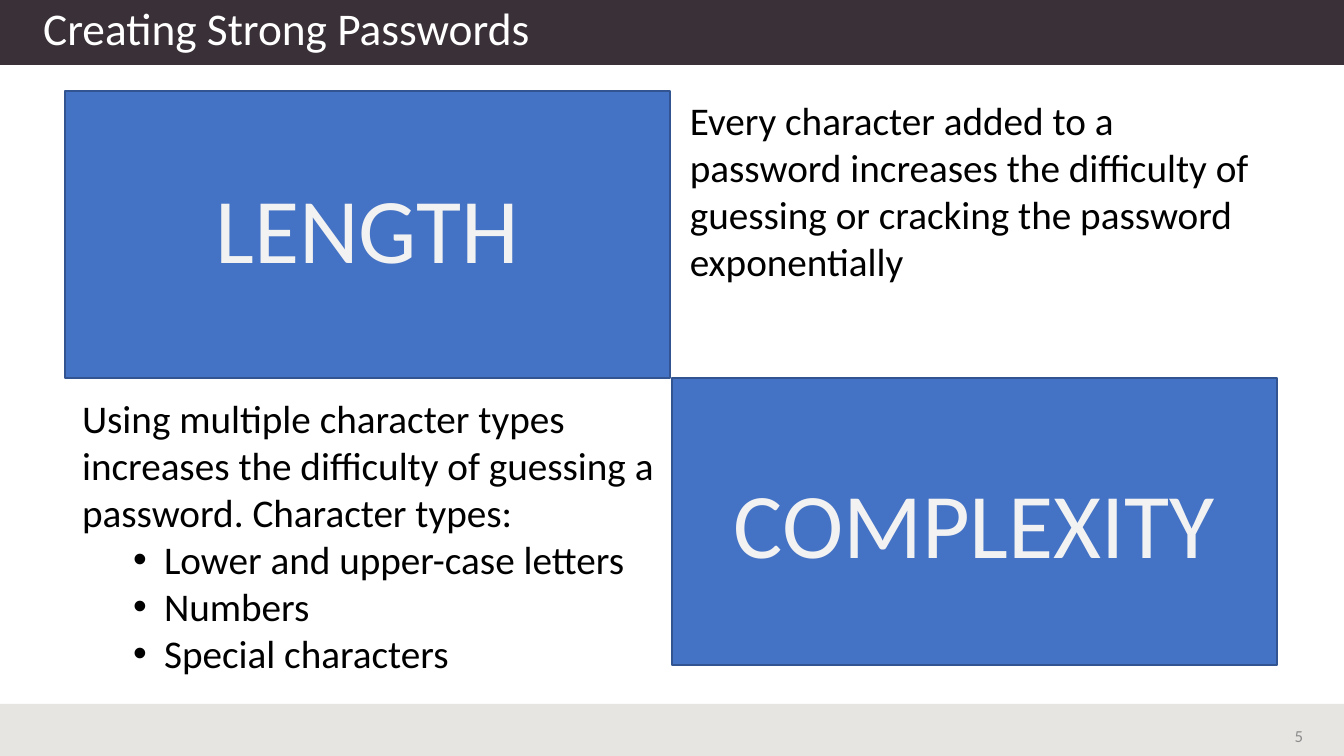
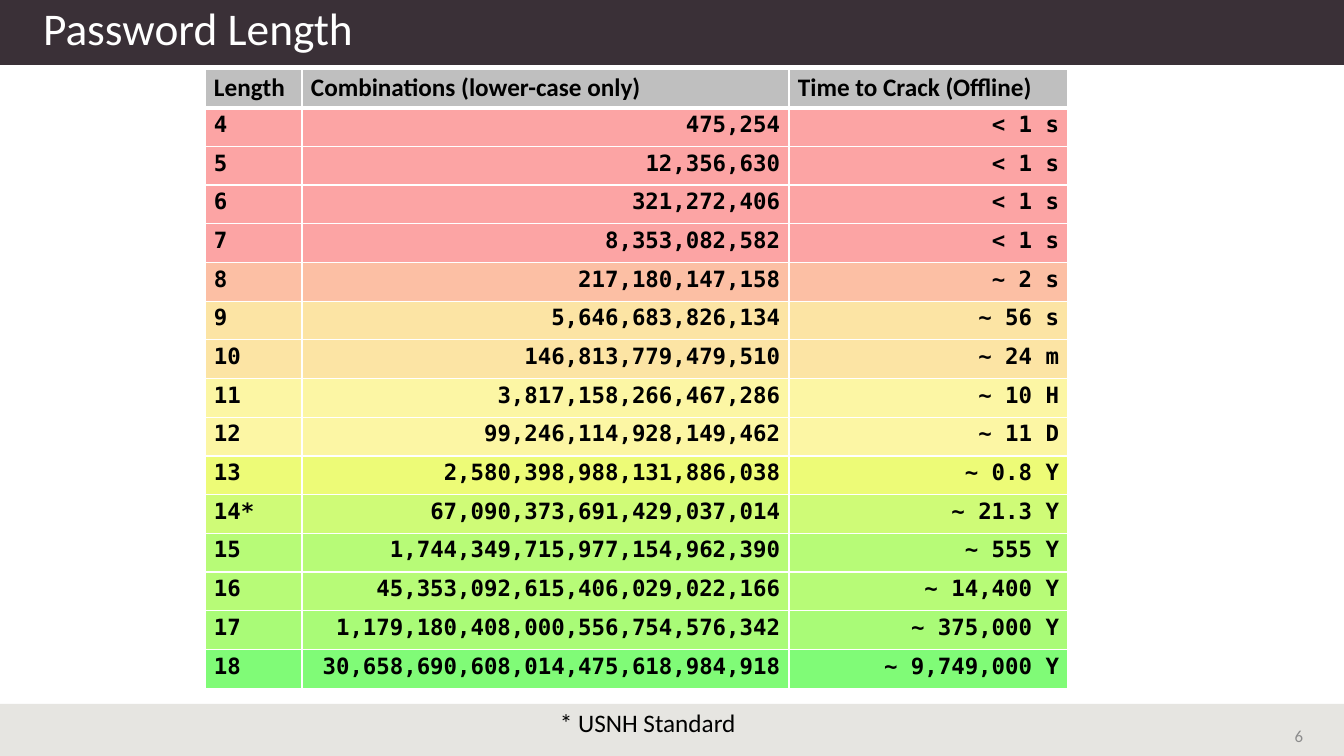
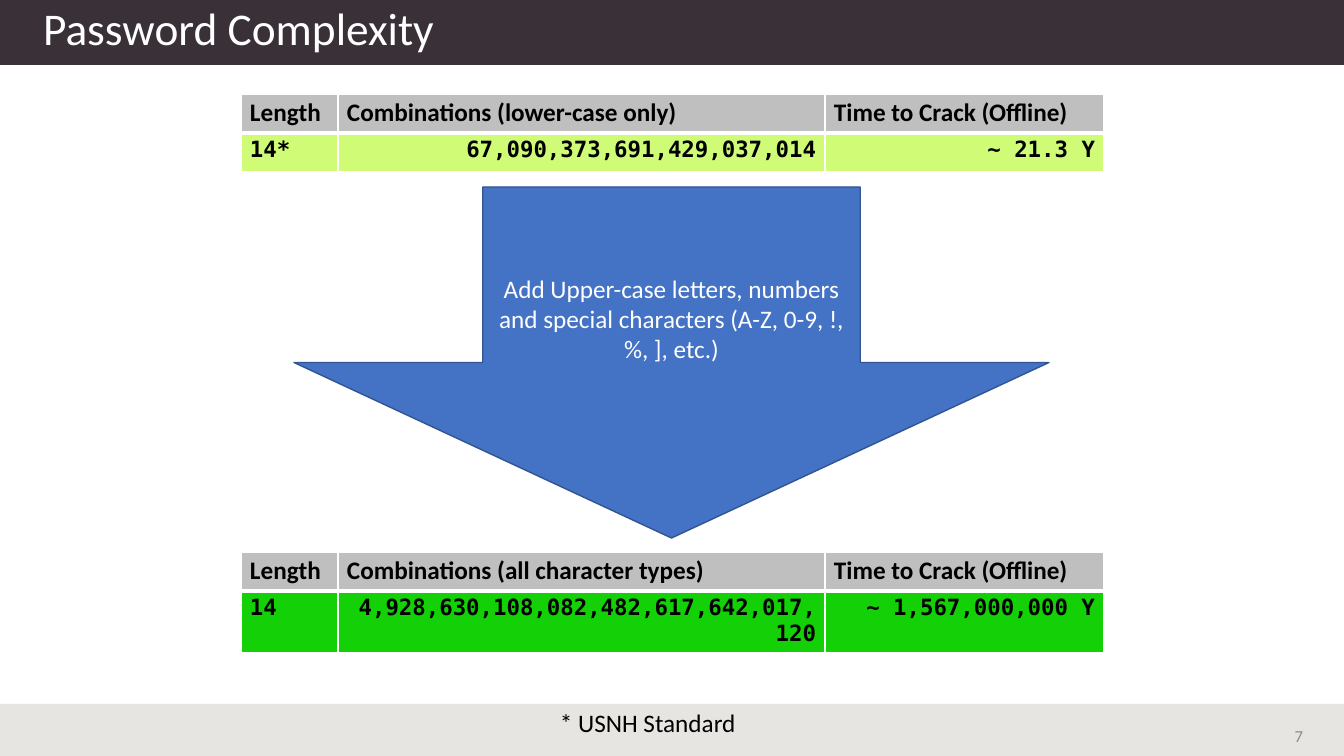
from dataclasses import dataclass

from lxml import etree
from pptx import Presentation
from pptx.dml.color import RGBColor
from pptx.enum.shapes import MSO_SHAPE as Shape
from pptx.enum.text import MSO_ANCHOR as Anchor
from pptx.enum.text import MSO_AUTO_SIZE as AutoSize
from pptx.enum.text import PP_ALIGN as Align
from pptx.oxml.ns import qn
from pptx.util import Emu, Pt

PX_PER_INCH = 100.8
PAGE_WIDTH, PAGE_HEIGHT = 1344, 756
FIRST_PAGE_NUMBER = 5


@dataclass(frozen=True)
class Theme:
    font: str = "Calibri"
    mono: str = "DejaVu Sans Mono"
    title_band: str = "3A3037"
    footer_band: str = "E6E5E1"
    white: str = "FFFFFF"
    text: str = "000000"
    label: str = "F2F2F2"
    page_number: str = "8C8C8C"
    accent: str = "4472C4"
    accent_line: str = "325491"
    table_head: str = "BFBFBF"
    title_size: float = 32.4
    label_size: int = 66
    body_size: int = 28
    note_size: int = 18
    cell_size: int = 16
    number_size: int = 12


THEME = Theme()

COLUMN_WIDTHS = (97, 487, 279)
ROW_HEIGHT = 38.7
CELL_MARGIN_X, CELL_MARGIN_Y = 9, 4
STANDARD_ROW = ("14*", "67,090,373,691,429,037,014", "~ 21.3 Y", "CFFB77")
LENGTH_ROWS = [
    ("4", "475,254", "< 1 s", "FCA4A4"),
    ("5", "12,356,630", "< 1 s", "FCA4A4"),
    ("6", "321,272,406", "< 1 s", "FCA4A4"),
    ("7", "8,353,082,582", "< 1 s", "FCA4A4"),
    ("8", "217,180,147,158", "~ 2 s", "FCBFA4"),
    ("9", "5,646,683,826,134", "~ 56 s", "FCE4A4"),
    ("10", "146,813,779,479,510", "~ 24 m", "FCE4A4"),
    ("11", "3,817,158,266,467,286", "~ 10 H", "FCF6A4"),
    ("12", "99,246,114,928,149,462", "~ 11 D", "FCF6A4"),
    ("13", "2,580,398,988,131,886,038", "~ 0.8 Y", "EDFB77"),
    STANDARD_ROW,
    ("15", "1,744,349,715,977,154,962,390", "~ 555 Y", "B7FB77"),
    ("16", "45,353,092,615,406,029,022,166", "~ 14,400 Y", "B7FB77"),
    ("17", "1,179,180,408,000,556,754,576,342", "~ 375,000 Y", "A9FB77"),
    ("18", "30,658,690,608,014,475,618,984,918", "~ 9,749,000 Y", "80FB77"),
]
COMPLEX_ROW = ("14", "4,928,630,108,082,482,617,642,017,120",
               "~ 1,567,000,000 Y", "14D006")


def px(length):
    return Emu(round(length * 914400 / PX_PER_INCH))


def place(shape, left, top, width, height):
    shape.left, shape.top = px(left), px(top)
    shape.width, shape.height = px(width), px(height)


def style(para, size, color, align=Align.LEFT, font=THEME.font, bold=False):
    para.alignment = align
    para.font.name = font
    para.font.size = Pt(size)
    para.font.bold = bold
    para.font.color.rgb = RGBColor.from_string(color)


def set_bullet(para, char=None, left=0, indent=0):
    """Give the paragraph a bullet, or take away the inherited one."""
    props = para._p.get_or_add_pPr()
    props.set("marL", str(px(left)))
    props.set("indent", str(px(indent)))
    if char:
        etree.SubElement(props, qn("a:buFont")).set("typeface", "Arial")
        etree.SubElement(props, qn("a:buChar")).set("char", char)
    else:
        etree.SubElement(props, qn("a:buNone"))


def add_box(page, kind, at, fill, line=None):
    left, top, width, height = map(px, at)
    box = page.shapes.add_shape(kind, left, top, width, height)
    box.shadow.inherit = False
    box.fill.solid()
    box.fill.fore_color.rgb = RGBColor.from_string(fill)
    if line:
        box.line.color.rgb = RGBColor.from_string(line)
        box.line.width = Pt(1)
    else:
        box.line.fill.background()
    return box


def add_text(page, at, text, size, color, align=Align.LEFT, anchor=Anchor.TOP):
    frame = page.shapes.add_textbox(*map(px, at)).text_frame
    frame.word_wrap = True
    frame.vertical_anchor = anchor
    frame.text = text
    style(frame.paragraphs[0], size, color, align)


def add_bands(deck, page):
    """Draw the title and footer bands, then move them to the master."""
    tree = deck.slide_master.shapes.element
    for top, height, color in ((0, 65, THEME.title_band),
                               (704, PAGE_HEIGHT - 704, THEME.footer_band)):
        band = add_box(page, Shape.RECTANGLE, (0, top, PAGE_WIDTH, height), color)
        tree.insert(2, band.element)


def add_page(deck, layout_name, title):
    page = deck.slides.add_slide(deck.slide_layouts.get_by_name(layout_name))
    place(page.shapes.title, 33, 0, 1159, 62)
    frame = page.shapes.title.text_frame
    frame.text = title
    frame.auto_size = AutoSize.NONE
    frame.vertical_anchor = Anchor.MIDDLE
    frame.paragraphs[0].line_spacing = 0.9
    style(frame.paragraphs[0], THEME.title_size, THEME.white)
    number = FIRST_PAGE_NUMBER + len(deck.slides) - 1
    add_text(page, (1011, 716, 302, 40), str(number), THEME.number_size,
             THEME.page_number, Align.RIGHT, Anchor.MIDDLE)
    return page


def add_label_box(page, left, top, label, label_top):
    width, height = 605, 287
    add_box(page, Shape.RECTANGLE, (left, top, width, height),
            THEME.accent, THEME.accent_line)
    add_text(page, (left, label_top, width, 122), label,
             THEME.label_size, THEME.label, Align.CENTER)


def fill_list(body, intro, items):
    frame = body.text_frame
    frame.auto_size = AutoSize.NONE
    frame.text = "\n".join([intro, *items])
    for index, para in enumerate(frame.paragraphs):
        if index:
            para.level = 1
            set_bullet(para, "•", 82, -31)
        else:
            set_bullet(para)
        para.space_before = Pt(0)
        style(para, THEME.body_size, THEME.text)


def set_borders(cell, bottom):
    props = cell._tc.get_or_add_tcPr()
    widths = {"a:lnL": 1, "a:lnR": 1, "a:lnT": 1, "a:lnB": bottom}
    for index, (side, width) in enumerate(widths.items()):
        line = etree.Element(qn(side), w=str(Pt(width)))
        fill = etree.SubElement(line, qn("a:solidFill"))
        etree.SubElement(fill, qn("a:srgbClr")).set("val", THEME.white)
        props.insert(index, line)


def fill_cell(cell, text, fill, is_head, align):
    cell.margin_left = cell.margin_right = px(CELL_MARGIN_X)
    cell.margin_top = cell.margin_bottom = px(CELL_MARGIN_Y)
    cell.fill.solid()
    cell.fill.fore_color.rgb = RGBColor.from_string(fill)
    set_borders(cell, 3 if is_head else 1)
    cell.text = text
    size, font = ((THEME.note_size, THEME.font) if is_head
                  else (THEME.cell_size, THEME.mono))
    style(cell.text_frame.paragraphs[0], size, THEME.text, align, font, True)


def add_crack_table(page, left, top, characters, rows):
    head = ("Length", f"Combinations ({characters})",
            "Time to Crack (Offline)", THEME.table_head)
    lines = [head, *rows]
    table = page.shapes.add_table(
        len(lines), len(COLUMN_WIDTHS), px(left), px(top),
        px(sum(COLUMN_WIDTHS)), px(ROW_HEIGHT * len(lines))).table
    table.horz_banding = False
    for column, width in zip(table.columns, COLUMN_WIDTHS):
        column.width = px(width)
    for row_index, (*texts, fill) in enumerate(lines):
        table.rows[row_index].height = px(ROW_HEIGHT)
        for column_index, text in enumerate(texts):
            align = Align.RIGHT if row_index and column_index else Align.LEFT
            fill_cell(table.cell(row_index, column_index), text, fill,
                      row_index == 0, align)


def add_standard_note(page):
    add_text(page, (550, 702, 590, 40), "* USNH Standard",
             THEME.note_size, THEME.text)


def build_strong_passwords(deck):
    page = add_page(deck, "Title and Content", "Creating Strong Passwords")
    add_bands(deck, page)
    add_label_box(page, 65, 91, "LENGTH", 166)
    add_label_box(page, 672, 378, "COMPLEXITY", 461)
    add_text(page, (680, 91, 596, 201),
             "Every character added to a password increases the difficulty of "
             "guessing or cracking the password exponentially",
             THEME.body_size, THEME.text)
    body = page.placeholders[1]
    place(body, 72, 389, 596, 295)
    fill_list(body,
              "Using multiple character types increases the difficulty of "
              "guessing a password. Character types:",
              ["Lower and upper-case letters", "Numbers", "Special characters"])


def build_password_length(deck):
    page = add_page(deck, "Title Only", "Password Length")
    add_crack_table(page, 205, 69, "lower-case only", LENGTH_ROWS)
    add_standard_note(page)


def build_password_complexity(deck):
    page = add_page(deck, "Title Only", "Password Complexity")
    add_crack_table(page, 241, 94, "lower-case only", [STANDARD_ROW])
    add_standard_note(page)
    arrow = add_box(page, Shape.DOWN_ARROW, (294, 187, 755, 351),
                    THEME.accent, THEME.accent_line)
    frame = arrow.text_frame
    frame.word_wrap = True
    frame.vertical_anchor = Anchor.MIDDLE
    frame.text = ("Add Upper-case letters, numbers and special characters "
                  "(A-Z, 0-9, !, %, ], etc.)")
    style(frame.paragraphs[0], THEME.note_size, THEME.white, Align.CENTER)
    add_crack_table(page, 241, 552, "all character types", [COMPLEX_ROW])


def main():
    deck = Presentation()
    deck.slide_width, deck.slide_height = px(PAGE_WIDTH), px(PAGE_HEIGHT)
    build_strong_passwords(deck)
    build_password_length(deck)
    build_password_complexity(deck)
    deck.save("out.pptx")


if __name__ == "__main__":
    main()
